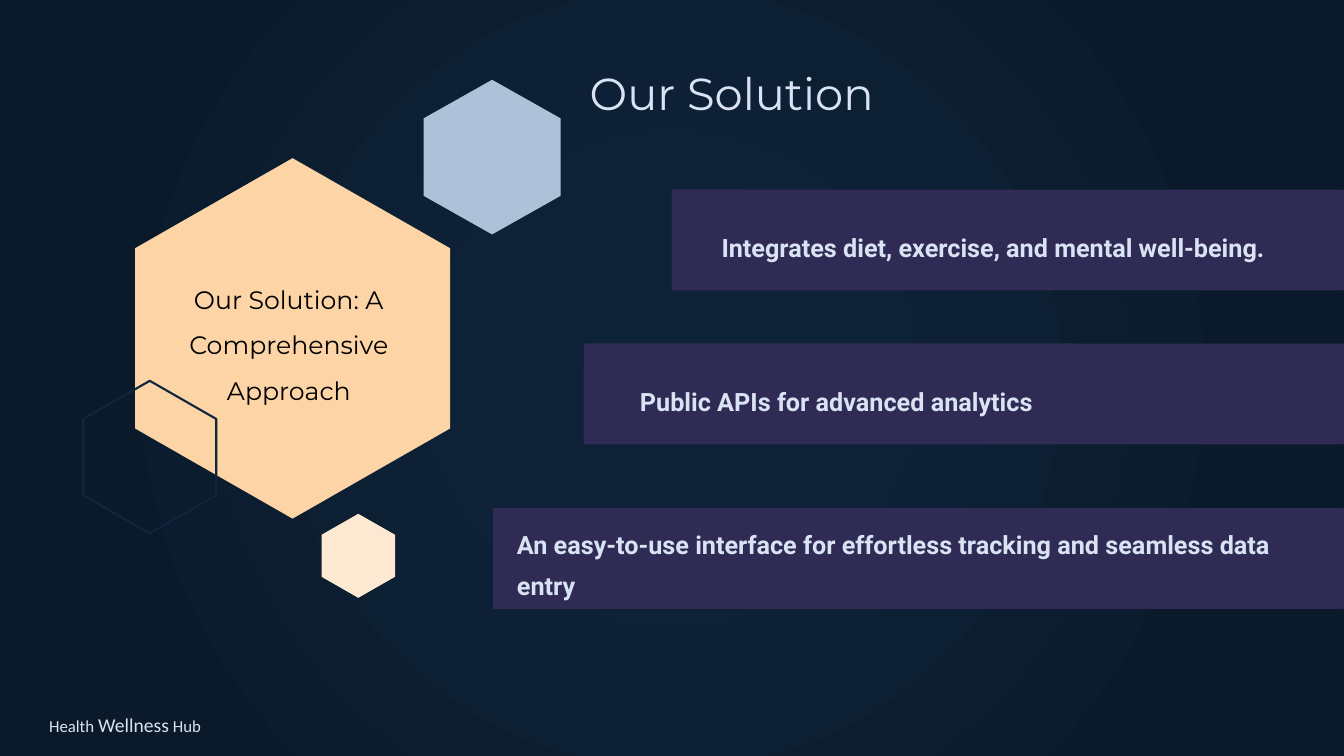
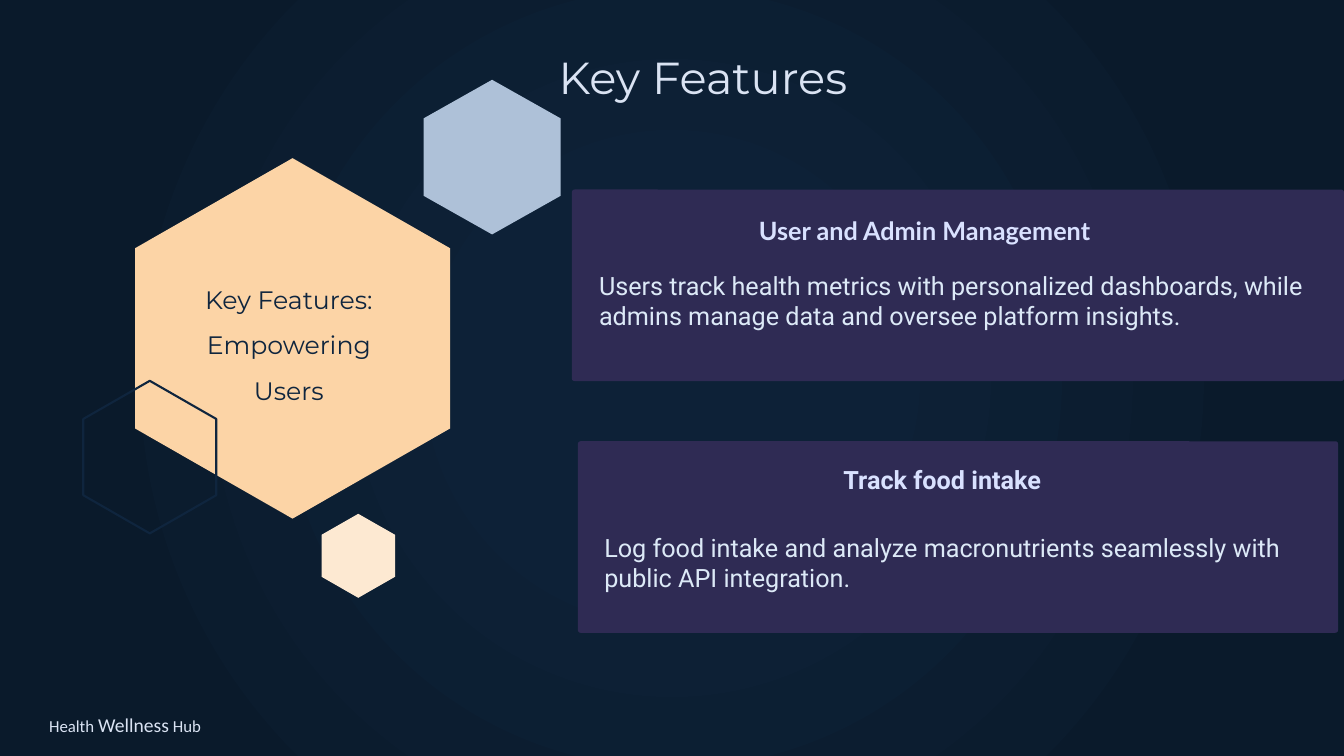
from lxml import etree
from pptx import Presentation
from pptx.dml.color import RGBColor
from pptx.enum.shapes import MSO_SHAPE
from pptx.enum.text import MSO_ANCHOR, MSO_AUTO_SIZE, PP_ALIGN
from pptx.oxml.ns import qn
from pptx.util import Pt

ROUNDED = MSO_SHAPE.ROUNDED_RECTANGLE
TOP, MIDDLE = MSO_ANCHOR.TOP, MSO_ANCHOR.MIDDLE
LEFT, CENTER = PP_ALIGN.LEFT, PP_ALIGN.CENTER
NO_AUTOFIT = MSO_AUTO_SIZE.NONE

NAVY = RGBColor(0x0F, 0x25, 0x3E)
BLACK = RGBColor(0x00, 0x00, 0x00)
PALE_BLUE = RGBColor(0xDA, 0xE3, 0xF3)
HEADING_BLUE = RGBColor(0xD9, 0xE1, 0xFF)
BODY_BLUE = RGBColor(0xDC, 0xE9, 0xF7)
STEEL = RGBColor(0xAE, 0xC1, 0xD8)
PEACH = RGBColor(0xFC, 0xD4, 0xA6)
CREAM = RGBColor(0xFD, 0xE9, 0xD2)
PURPLE = RGBColor(0x2F, 0x2B, 0x54)
GLOW = RGBColor(0x0D, 0x21, 0x37)
DUSK = RGBColor(0x0B, 0x1C, 0x2E)
NIGHT = RGBColor(0x0A, 0x1A, 0x2B)

BACKGROUND_STOPS = [(0, GLOW), (23, GLOW), (69, DUSK), (97, NIGHT)]
HEXAGONS = [
    (302.5, 57, 98, 110.5, STEEL),
    (96.5, 113, 225, 257.5, PEACH),
    (59.5, 272, 95, 109, None),
    (229.7, 367, 52.5, 60, CREAM),
]
SLIDE_WIDTH, SLIDE_HEIGHT = 960, 540
BAND_HEIGHT, CARD_HEIGHT = 72, 136.8
LINE_PITCH = Pt(30)


def set_background(master):
    """Give the master a radial gradient shared by all slides."""
    master.background.fill.gradient()
    gradient = next(master.element.iter(qn("a:gradFill")))
    for child in list(gradient):
        gradient.remove(child)
    stops = etree.SubElement(gradient, qn("a:gsLst"))
    for percent, color in BACKGROUND_STOPS:
        stop = etree.SubElement(stops, qn("a:gs"), pos=str(percent * 1000))
        etree.SubElement(stop, qn("a:srgbClr"), val=str(color))
    circle = etree.SubElement(gradient, qn("a:path"))
    circle.set("path", "circle")
    sides = dict.fromkeys("ltrb", "50000")
    etree.SubElement(circle, qn("a:fillToRect"), **sides)


def add_run(paragraph, text, size, font, color, bold=False):
    """Append one formatted run to a paragraph."""
    run = paragraph.add_run()
    run.text = text
    run.font.size = Pt(size)
    run.font.name = font
    run.font.bold = bold
    run.font.color.rgb = color


def place(shape, left, top, width, height):
    """Move and size a shape in points."""
    shape.left, shape.top = Pt(left), Pt(top)
    shape.width, shape.height = Pt(width), Pt(height)


def prepare_text(shape, anchor=TOP, align=LEFT, spacing=None):
    """Set up wrapping text and return its first paragraph."""
    frame = shape.text_frame
    frame.word_wrap = True
    frame.auto_size = NO_AUTOFIT
    frame.vertical_anchor = anchor
    paragraph = frame.paragraphs[0]
    paragraph.alignment = align
    paragraph.line_spacing = spacing
    return paragraph


def add_text(slide, box, runs, **layout):
    """Add a text box holding one paragraph of runs."""
    shape = slide.shapes.add_textbox(*map(Pt, box))
    paragraph = prepare_text(shape, **layout)
    for run in runs:
        add_run(paragraph, *run)


def add_hexagon(slide, left, top, width, height, color):
    """Draw an upright hexagon, outlined when it has no fill colour."""
    right, middle = left + width, left + width / 2
    upper, lower = top + height / 4, top + height * 3 / 4
    outline = [(right, upper), (right, lower), (middle, top + height),
               (left, lower), (left, upper)]
    builder = slide.shapes.build_freeform(Pt(middle), Pt(top))
    builder.add_line_segments([(Pt(x), Pt(y)) for x, y in outline], close=True)
    hexagon = builder.convert_to_shape()
    hexagon.shadow.inherit = False
    if color is None:
        hexagon.fill.background()
        hexagon.line.color.rgb = NAVY
        hexagon.line.width = Pt(1.5)
    else:
        hexagon.fill.solid()
        hexagon.fill.fore_color.rgb = color
        hexagon.line.fill.background()


def add_panel(slide, left, top, width, height):
    """Add a purple panel with barely rounded corners."""
    panel = slide.shapes.add_shape(ROUNDED, *map(Pt, (left, top, width, height)))
    panel.adjustments[0] = 0.014
    panel.shadow.inherit = False
    panel.fill.solid()
    panel.fill.fore_color.rgb = PURPLE
    panel.line.fill.background()


def add_base_slide(presentation, title, title_left, title_top, caption, caption_color):
    """Add a slide with title, hexagon cluster, caption and footer."""
    slide = presentation.slides.add_slide(presentation.slide_layouts[5])
    heading = slide.shapes.title
    place(heading, title_left, title_top, 287, 57.6)
    paragraph = prepare_text(heading, spacing=Pt(55))
    add_run(paragraph, title, 32, "Montserrat", PALE_BLUE)
    for hexagon in HEXAGONS:
        add_hexagon(slide, *hexagon)
    add_text(slide, (113.8, 188.8, 185, 102),
             [(caption, 18, "Montserrat", caption_color)],
             align=CENTER, spacing=1.5)
    add_text(slide, (28, 503.3, 324, 28.8),
             [("Health ", 12, "Calibri", PALE_BLUE),
              ("Wellness", 14, "Calibri", PALE_BLUE),
              (" Hub", 12, "Calibri", PALE_BLUE)], anchor=MIDDLE)
    return slide


def add_band(slide, left, top, text, text_box):
    """Add a band running to the right edge, with its bold statement."""
    add_panel(slide, left, top, SLIDE_WIDTH - left, BAND_HEIGHT)
    add_text(slide, text_box, [(text, 18, "Roboto", PALE_BLUE, True)],
             spacing=LINE_PITCH)


def add_card(slide, panel_box, heading, heading_font, heading_box, body, body_box):
    """Add a feature card with a heading and a description."""
    add_panel(slide, *panel_box)
    add_text(slide, heading_box, [(heading, 18, heading_font, HEADING_BLUE, True)],
             spacing=LINE_PITCH)
    add_text(slide, body_box, [(body, 18, "Roboto", BODY_BLUE)])


def build_solution(presentation):
    """Build the slide with three stepped bands."""
    slide = add_base_slide(presentation, "Our Solution", 414, 26.6,
                           "Our Solution: A Comprehensive Approach", BLACK)
    add_band(slide, 479.8, 135.4, "Integrates diet, exercise, and mental well-being.",
             (508.3, 154.1, 450, 34.6))
    add_band(slide, 417, 245.4, "Public APIs for advanced analytics",
             (450, 264.1, 502, 34.6))
    add_band(slide, 352.2, 362.9,
             "An easy-to-use interface for effortless tracking and seamless data entry",
             (362.2, 365.8, 583.2, 64))


def build_features(presentation):
    """Build the slide with two feature cards."""
    slide = add_base_slide(presentation, "Key Features", 391.8, 15.1,
                           "Key Features: Empowering Users", NAVY)
    add_card(slide, (408.5, 135.4, 551.5, CARD_HEIGHT),
             "User and Admin Management", "Lato", (535, 141.8, 305, 64.8),
             "Users track health metrics with personalized dashboards, "
             "while admins manage data and oversee platform insights.",
             (420.8, 189.4, 527, 51))
    add_card(slide, (412.8, 315.2, 543, CARD_HEIGHT),
             "Track food intake", "Roboto", (595.4, 319.7, 165.6, 34.6),
             "Log food intake and analyze macronutrients seamlessly "
             "with public API integration.",
             (424.6, 376.6, 522.7, 51))


def main():
    """Create and save the presentation."""
    presentation = Presentation()
    presentation.slide_width = Pt(SLIDE_WIDTH)
    presentation.slide_height = Pt(SLIDE_HEIGHT)
    set_background(presentation.slide_master)
    build_solution(presentation)
    build_features(presentation)
    presentation.save("out.pptx")


if __name__ == "__main__":
    main()
